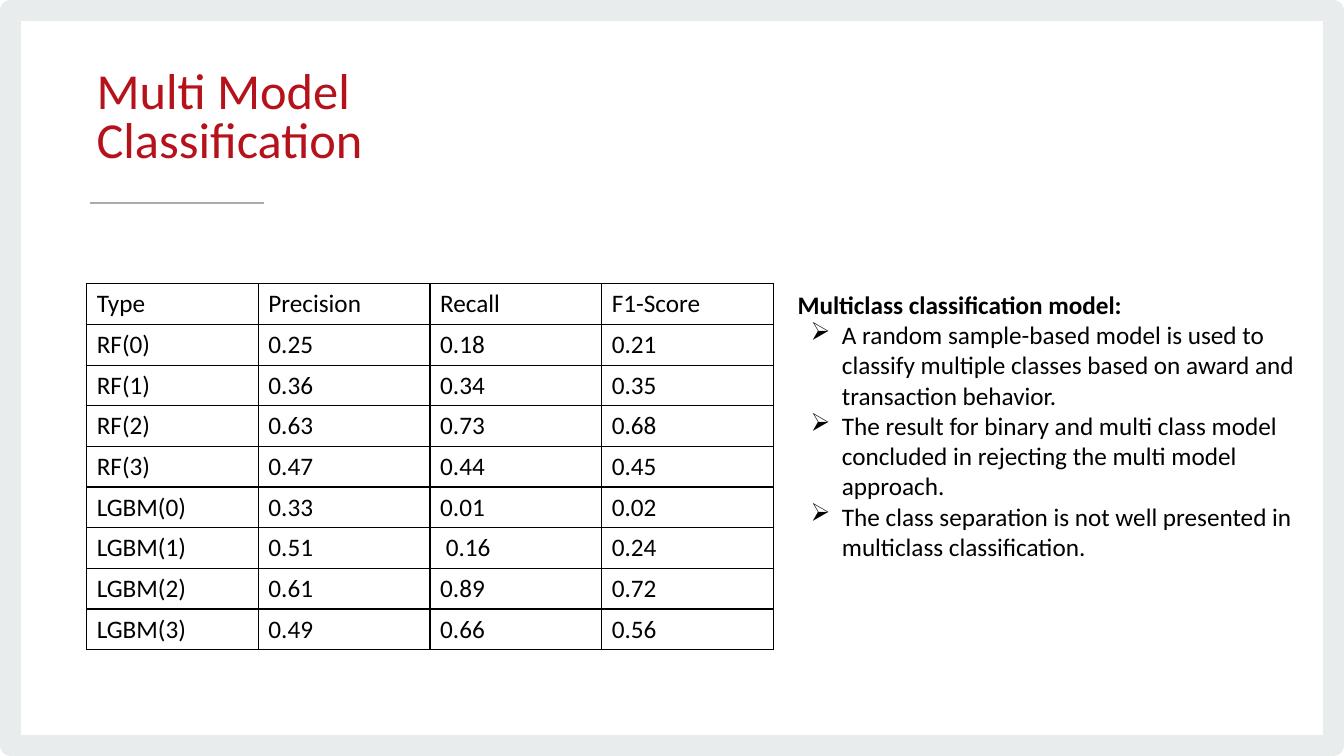
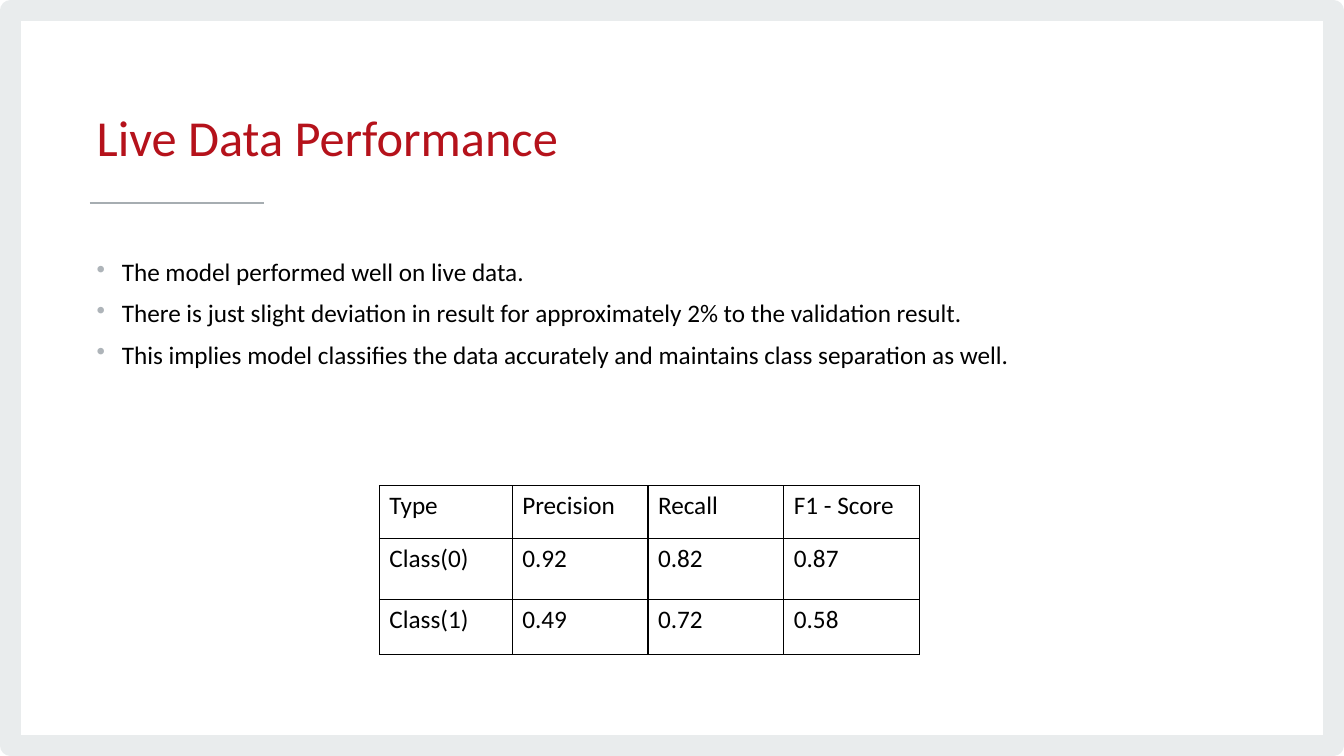
from dataclasses import dataclass

from lxml.etree import SubElement
from pptx import Presentation
from pptx.dml.color import RGBColor
from pptx.enum.shapes import MSO_CONNECTOR, MSO_SHAPE
from pptx.enum.text import MSO_ANCHOR
from pptx.oxml.ns import qn
from pptx.util import Emu, Inches, Pt


@dataclass(frozen=True)
class Theme:
    font: str = "Calibri"
    title: str = "B5121B"
    text: str = "000000"
    frame: str = "E9ECED"
    rule: str = "A6ADB1"
    bullet: str = "AEB4B9"
    title_size: int = 36
    body_size: int = 18


T = Theme()
W, H = Inches(13.33), Inches(7.5)


def area(x, y, w, h):
    """Turn percentages of the slide into a box."""
    return [Emu(round(size * share / 100))
            for size, share in ((W, x), (H, y), (W, w), (H, h))]


def style(p, size=T.body_size, color=T.text, bold=False):
    for r in p.runs:
        r.font.name, r.font.size, r.font.bold = T.font, Pt(size), bold
        r.font.color.rgb = RGBColor.from_string(color)


def bullet(p, char, margin, hanging, color):
    ppr = p._p.get_or_add_pPr()
    ppr.set("marL", str(Inches(margin)))
    ppr.set("indent", str(-Inches(hanging)))
    clr = SubElement(ppr, qn("a:buClr"))
    SubElement(clr, qn("a:srgbClr"), val=color)
    SubElement(ppr, qn("a:buChar"), char=char)


def text_frame(s, box):
    tf = s.shapes.add_textbox(*box).text_frame
    tf.word_wrap = True
    return tf


def add_paragraph(tf, text):
    p = tf.paragraphs[0] if not tf.text else tf.add_paragraph()
    p.text = text
    return p


# Shared frame, rule and title
def base_slide(prs, title, title_box):
    s = prs.slides.add_slide(prs.slide_layouts[6])

    frame = s.shapes.add_shape(MSO_SHAPE.RECTANGLE, *area(0.78, 1.4, 98.44, 97.2))
    frame.shadow.inherit = False
    frame.fill.background()
    frame.line.color.rgb = RGBColor.from_string(T.frame)
    frame.line.width = Pt(15.11)
    SubElement(frame.line._get_or_add_ln(), qn("a:round"))

    x, y, w, _ = area(6.68, 26.8, 12.98, 0)
    rule = s.shapes.add_connector(MSO_CONNECTOR.STRAIGHT, x, y, x + w, y)
    rule.line.color.rgb = RGBColor.from_string(T.rule)
    rule.line.width = Pt(1.33)
    SubElement(rule._element.spPr, qn("a:effectLst"))

    tf = text_frame(s, title_box)
    tf.vertical_anchor = MSO_ANCHOR.MIDDLE
    p = add_paragraph(tf, title)
    p.line_spacing = Pt(34.7)
    style(p, T.title_size, T.title)
    return s


def set_borders(cell):
    tcpr = cell._tc.get_or_add_tcPr()
    for side in ("lnL", "lnR", "lnT", "lnB"):
        ln = SubElement(tcpr, qn(f"a:{side}"), w=str(Pt(1)))
        SubElement(SubElement(ln, qn("a:solidFill")), qn("a:srgbClr"), val=T.text)


# Bordered score table, sized by column and row weights
def score_table(s, box, data, col_weights, row_weights):
    x, y, w, h = box
    table = s.shapes.add_table(len(data), len(data[0]), x, y, w, h).table
    table.first_row = table.horz_banding = False
    for col, weight in zip(table.columns, col_weights):
        col.width = round(w * weight / sum(col_weights))
    for row, weight in zip(table.rows, row_weights):
        row.height = round(h * weight / sum(row_weights))
    for row, values in zip(table.rows, data):
        for cell, value in zip(row.cells, values):
            cell.text_frame.text = value
            style(cell.text_frame.paragraphs[0])
            set_borders(cell)
            cell.fill.background()


# Bold heading with arrow bullets
def side_notes(s, box, heading, notes):
    tf = text_frame(s, box)
    style(add_paragraph(tf, heading), bold=True)
    for note in notes:
        p = add_paragraph(tf, note)
        bullet(p, "➢", 0.44, 0.31, T.text)
        style(p)


# Spaced round bullets
def bullet_list(s, box, items):
    tf = text_frame(s, box)
    for i, item in enumerate(items):
        p = add_paragraph(tf, item)
        bullet(p, "•", 0.25, 0.25, T.bullet)
        p.line_spacing = 0.9
        p.space_before = Pt(10 if i else 0)
        style(p)


def multi_model_slide(prs):
    s = base_slide(prs, "Multi Model\vClassification", area(6.45, 6.93, 67.67, 17.87))
    data = [
        ("Type", "Precision", "Recall", "F1-Score"),
        ("RF(0)", "0.25", "0.18", "0.21"),
        ("RF(1)", "0.36", "0.34", "0.35"),
        ("RF(2)", "0.63", "0.73", "0.68"),
        ("RF(3)", "0.47", "0.44", "0.45"),
        ("LGBM(0)", "0.33", "0.01", "0.02"),
        ("LGBM(1)", "0.51", " 0.16", "0.24"),
        ("LGBM(2)", "0.61", "0.89", "0.72"),
        ("LGBM(3)", "0.49", "0.66", "0.56"),
    ]
    score_table(s, area(6.45, 37.55, 51.1, 48.4), data, [1] * 4, [1] * len(data))
    side_notes(s, area(58.6, 37.6, 38.8, 41.73), "Multiclass classification model:", [
        "A random sample-based model is used to classify multiple classes "
        "based on award and transaction behavior.",
        "The result for binary and multi class model concluded in rejecting "
        "the multi model approach.",
        "The class separation is not well presented in multiclass classification.",
    ])


def live_data_slide(prs):
    s = base_slide(prs, "Live Data Performance", area(6.45, 9.87, 67.67, 17.87))
    bullet_list(s, area(6.45, 33.73, 71.7, 56.27), [
        "The model performed well on live data.",
        "There is just slight deviation in result for approximately 2% "
        "to the validation result.",
        "This implies model classifies the data accurately and maintains "
        "class separation as well.",
    ])
    data = [
        ("Type", "Precision", "Recall", "F1 - Score"),
        ("Class(0)", "0.92", "0.82", "0.87"),
        ("Class(1)", "0.49", "0.72", "0.58"),
    ]
    score_table(s, area(28.23, 64.27, 40.2, 22.27), data,
                [1.32, 1.35, 1.35, 1.35], [0.52, 0.61, 0.54])


def main():
    prs = Presentation()
    prs.slide_width, prs.slide_height = W, H
    multi_model_slide(prs)
    live_data_slide(prs)
    prs.save("out.pptx")


if __name__ == "__main__":
    main()
